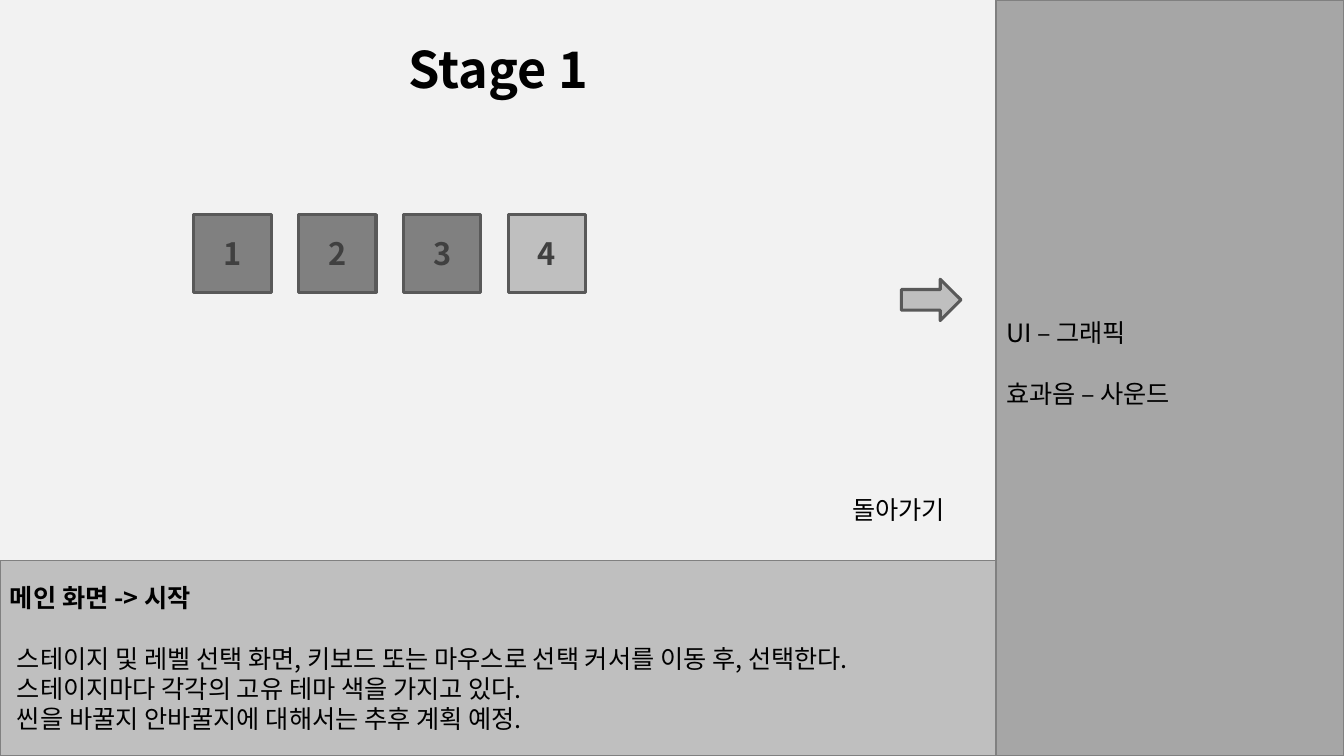
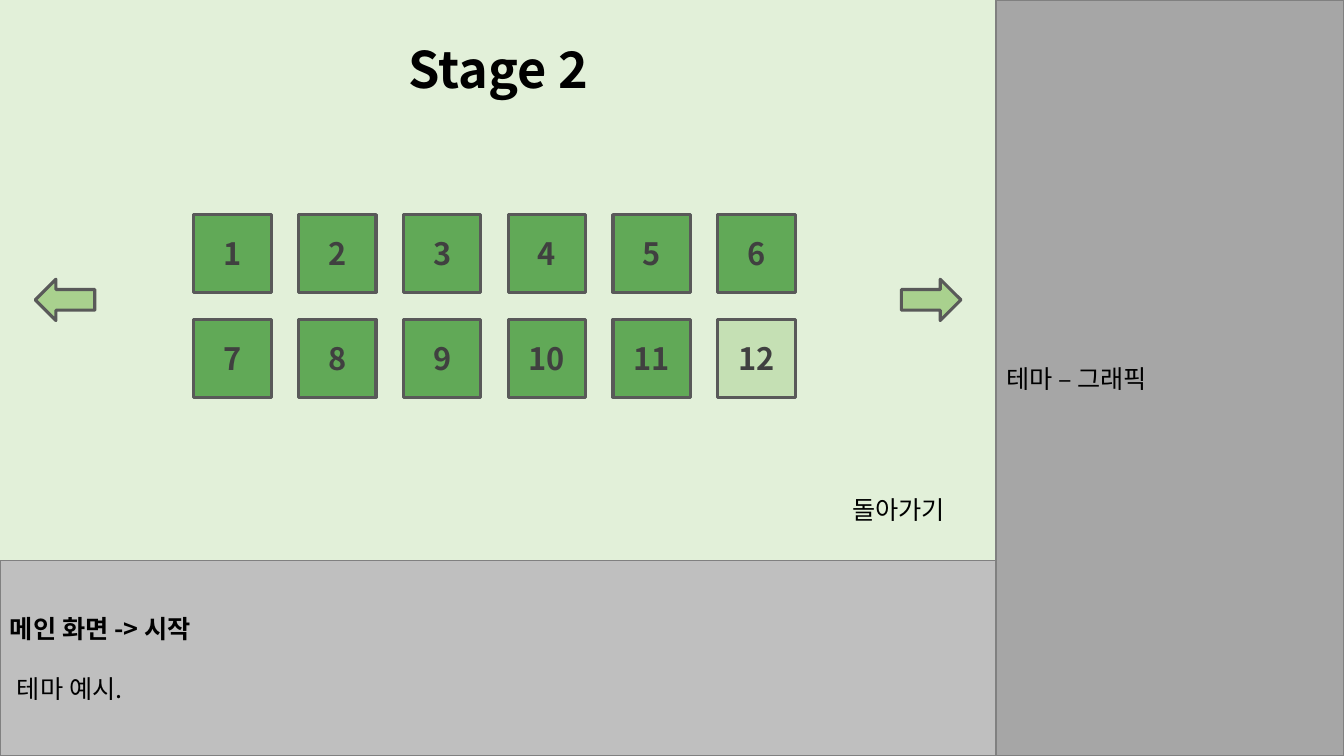
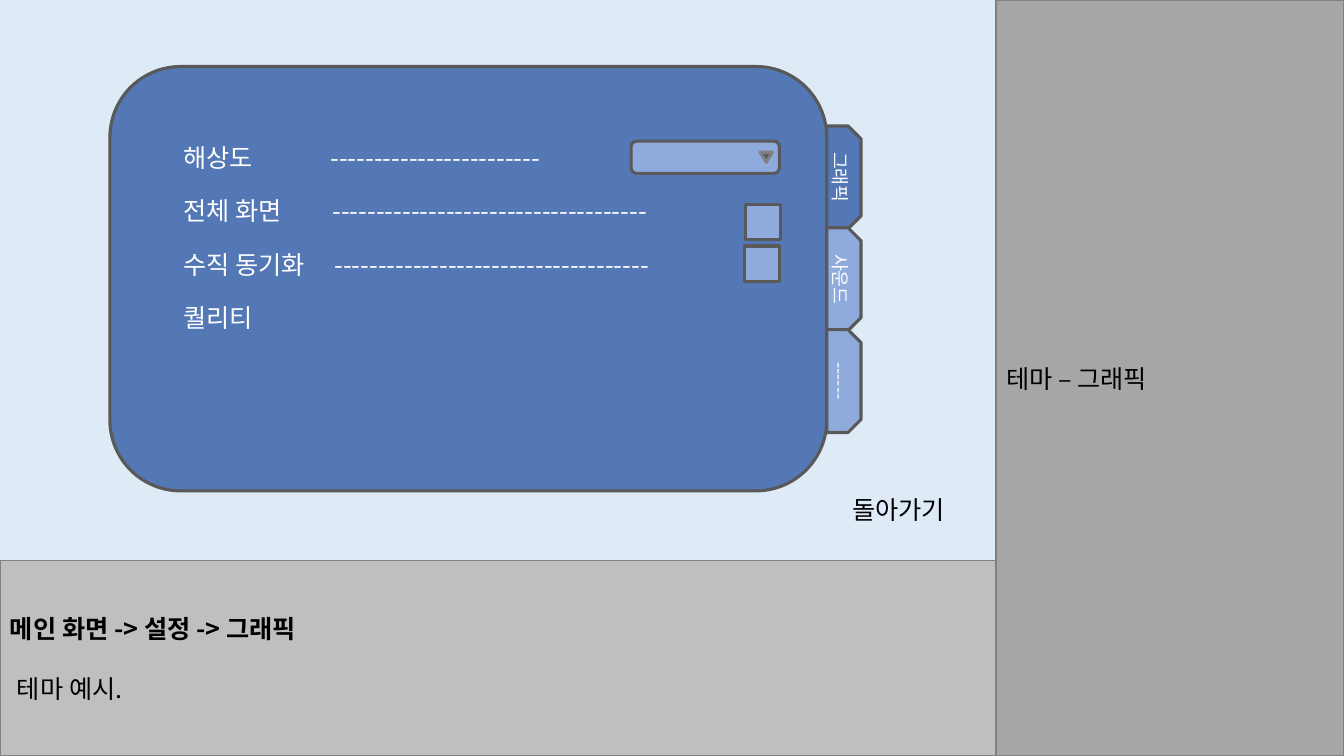
from lxml import etree
from pptx import Presentation
from pptx.dml.color import RGBColor
from pptx.enum import shapes, text
from pptx.oxml.ns import qn
from pptx.util import Inches, Pt

FONT = "Noto Sans CJK KR"
BLACK, WHITE, NUMBER = "000000", "FFFFFF", "404040"
OUTLINE, PANEL_LINE = "595959", "808080"
SIDE_FILL, NOTE_FILL = "A6A6A6", "BFBFBF"
BLUE, LIGHT_BLUE = "5378B5", "8FAADC"
SCREEN_WIDTH, SCREEN_HEIGHT = 9.88, 5.56
TITLE_ONLY, BLANK = 5, 6
BLANK_LINE = 21.5
SHAPE = shapes.MSO_SHAPE
LEFT, CENTER, RIGHT = text.PP_ALIGN.LEFT, text.PP_ALIGN.CENTER, text.PP_ALIGN.RIGHT


def color(hex_string):
    return RGBColor.from_string(hex_string)


def add_run(paragraph, words, size=18, font_color=BLACK, bold=False, align=LEFT):
    paragraph.alignment = align
    run = paragraph.add_run()
    run.text = words
    run.font.size = Pt(size)
    run.font.bold = bold
    run.font.color.rgb = color(font_color)
    run.font.name = FONT
    east_asian = etree.SubElement(run.font._element, qn("a:ea"))
    east_asian.set("typeface", FONT)


def add_shape(slide, kind, box, fill, line=OUTLINE, line_width=2.25, rotation=0):
    shape = slide.shapes.add_shape(kind, *map(Inches, box))
    shape.shadow.inherit = False
    shape.rotation = rotation
    shape.fill.solid()
    shape.fill.fore_color.rgb = color(fill)
    if line:
        shape.line.color.rgb = color(line)
        shape.line.width = Pt(line_width)
    else:
        shape.line.fill.background()
    return shape


def add_text(slide, box, words, font_color=BLACK, align=LEFT):
    frame = slide.shapes.add_textbox(*map(Inches, box)).text_frame
    frame.word_wrap = True
    paragraph = frame.paragraphs[0]
    add_run(paragraph, words, font_color=font_color, align=align)
    return paragraph


# Parts shared by every slide
def add_side_panel(slide, topics):
    box = (SCREEN_WIDTH, 0, 13.33 - SCREEN_WIDTH, 7.5)
    frame = add_shape(slide, SHAPE.RECTANGLE, box, SIDE_FILL, PANEL_LINE, 1).text_frame
    for index, topic in enumerate(topics):
        paragraph = frame.paragraphs[0] if index == 0 else frame.add_paragraph()
        add_run(paragraph, topic)
        if index < len(topics) - 1:
            paragraph.space_after = Pt(BLANK_LINE)
    if len(topics) > 1:
        frame.margin_bottom = Inches(0.35)


def add_note_panel(slide, heading, notes):
    box = (0, SCREEN_HEIGHT, SCREEN_WIDTH, 7.5 - SCREEN_HEIGHT)
    frame = add_shape(slide, SHAPE.RECTANGLE, box, NOTE_FILL, PANEL_LINE, 1).text_frame
    frame.paragraphs[0].space_after = Pt(BLANK_LINE)
    add_run(frame.paragraphs[0], heading, bold=True)
    for note in notes:
        paragraph = frame.add_paragraph()
        add_run(paragraph, note)
        paragraph._p.get_or_add_pPr().set("marL", str(Inches(0.07)))


def add_frame(presentation, layout, screen_fill, topics, heading, notes):
    slide = presentation.slides.add_slide(presentation.slide_layouts[layout])
    screen = (0, 0, SCREEN_WIDTH, SCREEN_HEIGHT)
    add_shape(slide, SHAPE.RECTANGLE, screen, screen_fill, line=None)
    add_side_panel(slide, topics)
    add_note_panel(slide, heading, notes)
    add_text(slide, (8.26, 4.86, 1.21, 0.4), "돌아가기", align=RIGHT)
    return slide


# Stage selection
def set_title(slide, words):
    title = slide.shapes.title
    title.left, title.top, title.width, title.height = map(Inches, (3.44, 0.33, 3, 0.71))
    frame = title.text_frame
    frame.word_wrap = True
    frame.auto_size = text.MSO_AUTO_SIZE.NONE
    frame.vertical_anchor = text.MSO_ANCHOR.TOP
    add_run(frame.paragraphs[0], words, 36, bold=True, align=CENTER)
    # Bring the title in front of the screen
    slide.shapes._spTree.append(title._element)


def add_levels(slide, count, fill, last_fill):
    columns, pitch, size = 6, 1.04, 0.77
    for index in range(count):
        row, column = divmod(index, columns)
        box = (1.92 + column * pitch, 2.13 + row * pitch, size, size)
        level_fill = last_fill if index == count - 1 else fill
        level = add_shape(slide, SHAPE.RECTANGLE, box, level_fill)
        add_run(level.text_frame.paragraphs[0], str(index + 1), 22, NUMBER, True, CENTER)


def add_arrow(slide, kind, left, fill):
    add_shape(slide, kind, (left, 2.77, 0.59, 0.41), fill)


# Graphics settings
def add_setting_tabs(slide):
    tabs = (("그래픽", BLUE), ("사운드", LIGHT_BLUE), ("------", LIGHT_BLUE))
    for index, (label, fill) in enumerate(tabs):
        box = (7.86, 1.59 + index * 1.01, 1.02, 0.34)
        tab = add_shape(slide, SHAPE.SNIP_2_SAME_RECTANGLE, box, fill, rotation=90)
        tab.adjustments[0] = 0.38
        tab.adjustments[1] = 0
        add_run(tab.text_frame.paragraphs[0], label, 13, WHITE, align=CENTER)


def add_options(slide):
    options = (("해상도", 24), ("전체 화면", 36), ("수직 동기화", 36), ("퀄리티", 0))
    for index, (label, dashes) in enumerate(options):
        words = f"{label}\t{'-' * dashes}" if dashes else label
        paragraph = add_text(slide, (1.72, 1.36 + index * 0.53, 5.56, 0.4), words, WHITE)
        if dashes:
            tab_list = etree.SubElement(paragraph._p.get_or_add_pPr(), qn("a:tabLst"))
            stop = etree.SubElement(tab_list, qn("a:tab"))
            stop.set("pos", str(Inches(1.46 + index * 0.02)))
            stop.set("algn", "l")


def add_controls(slide):
    add_shape(slide, SHAPE.ROUNDED_RECTANGLE, (6.26, 1.4, 1.47, 0.32), LIGHT_BLUE)
    add_shape(slide, SHAPE.ISOSCELES_TRIANGLE, (7.54, 1.51, 0.12, 0.1), OUTLINE,
              PANEL_LINE, rotation=180)
    for left, top in ((7.39, 2.03), (7.38, 2.44)):
        add_shape(slide, SHAPE.RECTANGLE, (left, top, 0.35, 0.35), LIGHT_BLUE)


def main():
    presentation = Presentation()
    presentation.slide_width, presentation.slide_height = Inches(13.33), Inches(7.5)

    # Stage 1
    slide = add_frame(
        presentation, TITLE_ONLY, "F2F2F2", ["UI – 그래픽", "효과음 – 사운드"],
        "메인 화면 -> 시작",
        ["스테이지 및 레벨 선택 화면, 키보드 또는 마우스로 선택 커서를 이동 후, 선택한다.",
         "스테이지마다 각각의 고유 테마 색을 가지고 있다.",
         "씬을 바꿀지 안바꿀지에 대해서는 추후 계획 예정."])
    set_title(slide, "Stage 1")
    add_arrow(slide, SHAPE.RIGHT_ARROW, 8.94, "BFBFBF")
    add_levels(slide, 4, "808080", "BFBFBF")

    # Stage 2
    theme_topics, theme_notes = ["테마 – 그래픽"], ["테마 예시."]
    slide = add_frame(presentation, TITLE_ONLY, "E2F0D9", theme_topics,
                      "메인 화면 -> 시작", theme_notes)
    set_title(slide, "Stage 2")
    add_arrow(slide, SHAPE.RIGHT_ARROW, 8.94, "A9D18E")
    add_levels(slide, 12, "61A957", "C5E0B4")
    add_arrow(slide, SHAPE.LEFT_ARROW, 0.35, "A9D18E")

    # Settings
    slide = add_frame(presentation, BLANK, "DEEBF7", theme_topics,
                      "메인 화면 -> 설정 -> 그래픽", theme_notes)
    add_shape(slide, SHAPE.ROUNDED_RECTANGLE, (1.09, 0.66, 7.11, 4.21), BLUE)
    add_setting_tabs(slide)
    add_options(slide)
    add_controls(slide)

    presentation.save("out.pptx")


main()
